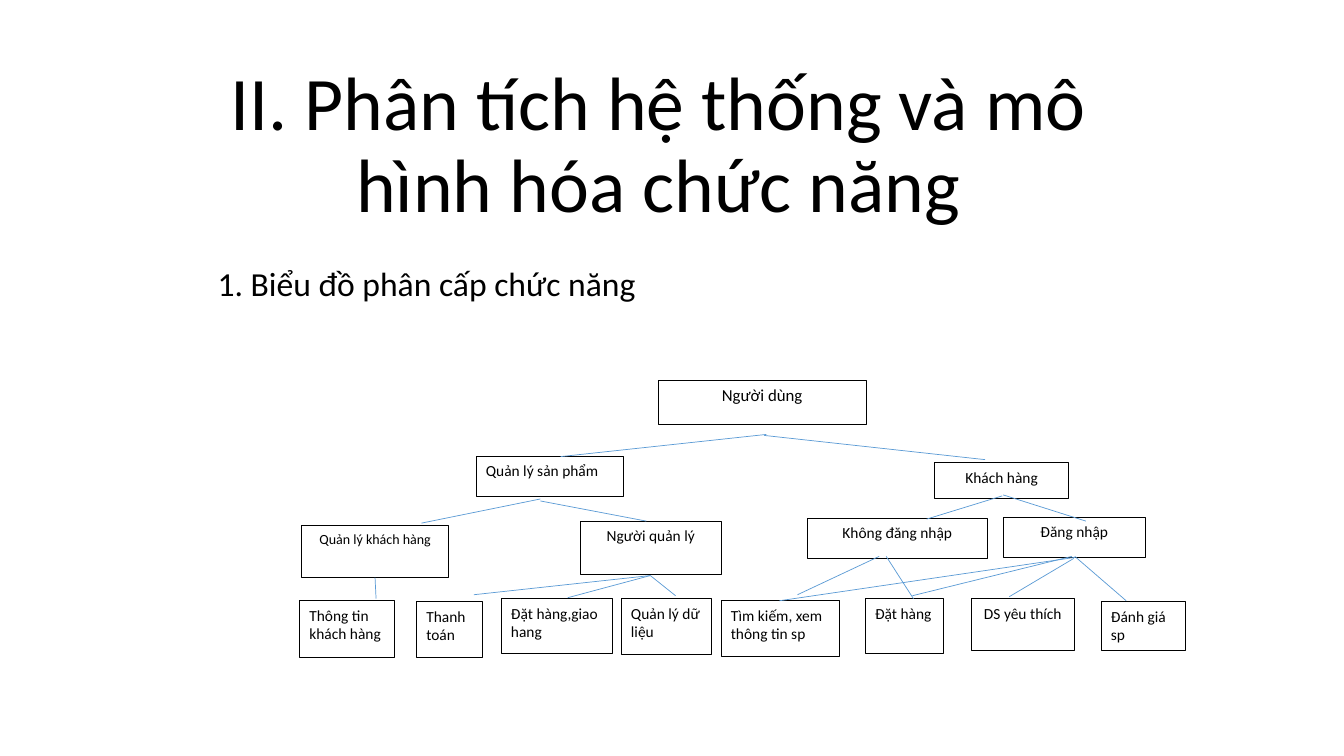
"""Build a slide with a function hierarchy chart."""
from lxml.etree import SubElement
from pptx import Presentation
from pptx.dml.color import RGBColor
from pptx.enum.shapes import MSO_CONNECTOR as Link, MSO_SHAPE as Kind
from pptx.enum.text import MSO_ANCHOR as Anchor, PP_ALIGN as Align
from pptx.oxml.ns import qn
from pptx.util import Inches, Pt


def color(code):
    return RGBColor.from_string(code)


def write(shape, text, size=11, align=Align.LEFT, anchor=Anchor.TOP, lead=1.0, before=0):
    frame = shape.text_frame
    frame.word_wrap = True
    frame.vertical_anchor = anchor
    para = frame.paragraphs[0]
    para.alignment = align
    para.line_spacing = lead
    para.space_before = Pt(before)
    run = para.add_run()
    run.text = text
    run.font.size = Pt(size)
    run.font.name = "Calibri"
    run.font.color.rgb = color("000000")


deck = Presentation()
deck.slide_width = Inches(13.33)
deck.slide_height = Inches(7.5)
slide = deck.slides.add_slide(deck.slide_layouts[6])
shapes = slide.shapes

title = shapes.add_textbox(Inches(1.53), Inches(0.56), Inches(10), Inches(1.76))
write(title, "II. Phân tích hệ thống và mô hình hóa chức năng",
      size=54, align=Align.CENTER, anchor=Anchor.BOTTOM, lead=0.9)
head = shapes.add_textbox(Inches(2.06), Inches(2.6), Inches(10), Inches(1.29))
write(head, "1. Biểu đồ phân cấp chức năng", size=24, lead=0.9, before=10)

mid, left = Align.CENTER, Align.LEFT
boxes = [
    ("Người dùng", 6.53, 3.77, 2.06, 0.44, 12, mid),
    ("Quản lý sản phẩm", 4.72, 4.53, 1.46, 0.39, 11, left),
    ("Khách hàng", 9.27, 4.59, 1.33, 0.35, 11, mid),
    ("Quản lý khách hàng", 2.99, 5.21, 1.46, 0.52, 10, mid),
    ("Người quản lý", 5.76, 5.17, 1.39, 0.53, 11, mid),
    ("Không đăng nhập", 8.01, 5.14, 1.78, 0.4, 11, mid),
    ("Đăng nhập", 9.95, 5.13, 1.41, 0.4, 11, mid),
    ("Thông tin khách hàng", 2.97, 5.96, 0.94, 0.56, 11, left),
    ("Thanh toán", 4.13, 5.97, 0.66, 0.55, 11, left),
    ("Đặt hàng,giao hang", 4.97, 5.94, 1.1, 0.54, 11, left),
    ("Quản lý dữ liệu", 6.16, 5.94, 0.9, 0.55, 11, left),
    ("Tìm kiếm, xem thông tin sp", 7.15, 5.96, 1.18, 0.55, 11, left),
    ("Đặt hàng", 8.58, 5.94, 0.78, 0.54, 11, left),
    ("DS yêu thích", 9.63, 5.94, 1.03, 0.51, 11, mid),
    ("Đánh giá sp", 10.92, 5.97, 0.84, 0.48, 11, left),
]
for text, x, y, wide, high, size, align in boxes:
    box = shapes.add_shape(Kind.RECTANGLE, Inches(x), Inches(y), Inches(wide), Inches(high))
    box.shadow.inherit = False
    box.fill.solid()
    box.fill.fore_color.rgb = color("FFFFFF")
    box.line.color.rgb = color("000000")
    box.line.width = Pt(0.5)
    write(box, text, size=size, align=align)

links = [
    (7.6, 4.31, 5.56, 4.53), (7.58, 4.32, 9.77, 4.56),
    (5.36, 4.95, 4.18, 5.19), (5.36, 4.97, 6.41, 5.17),
    (9.94, 4.92, 9.19, 5.15), (9.95, 4.91, 10.77, 5.17),
    (3.72, 5.73, 3.73, 5.94),
    (6.45, 5.71, 4.7, 5.9), (6.45, 5.71, 5.63, 5.93), (6.45, 5.71, 6.7, 5.91),
    (8.72, 5.52, 7.91, 5.9), (8.79, 5.52, 9.06, 5.94),
    (10.66, 5.53, 7.73, 5.96), (10.63, 5.52, 9.05, 5.91),
    (10.65, 5.54, 10.01, 5.92), (10.66, 5.52, 11.17, 5.96),
]
for ends in links:
    link = shapes.add_connector(Link.STRAIGHT, *map(Inches, ends))
    link.line.color.rgb = color("5B9BD5")
    link.line.width = Pt(0.5)
    SubElement(link._element.spPr, qn("a:effectLst"))

deck.save("out.pptx")
